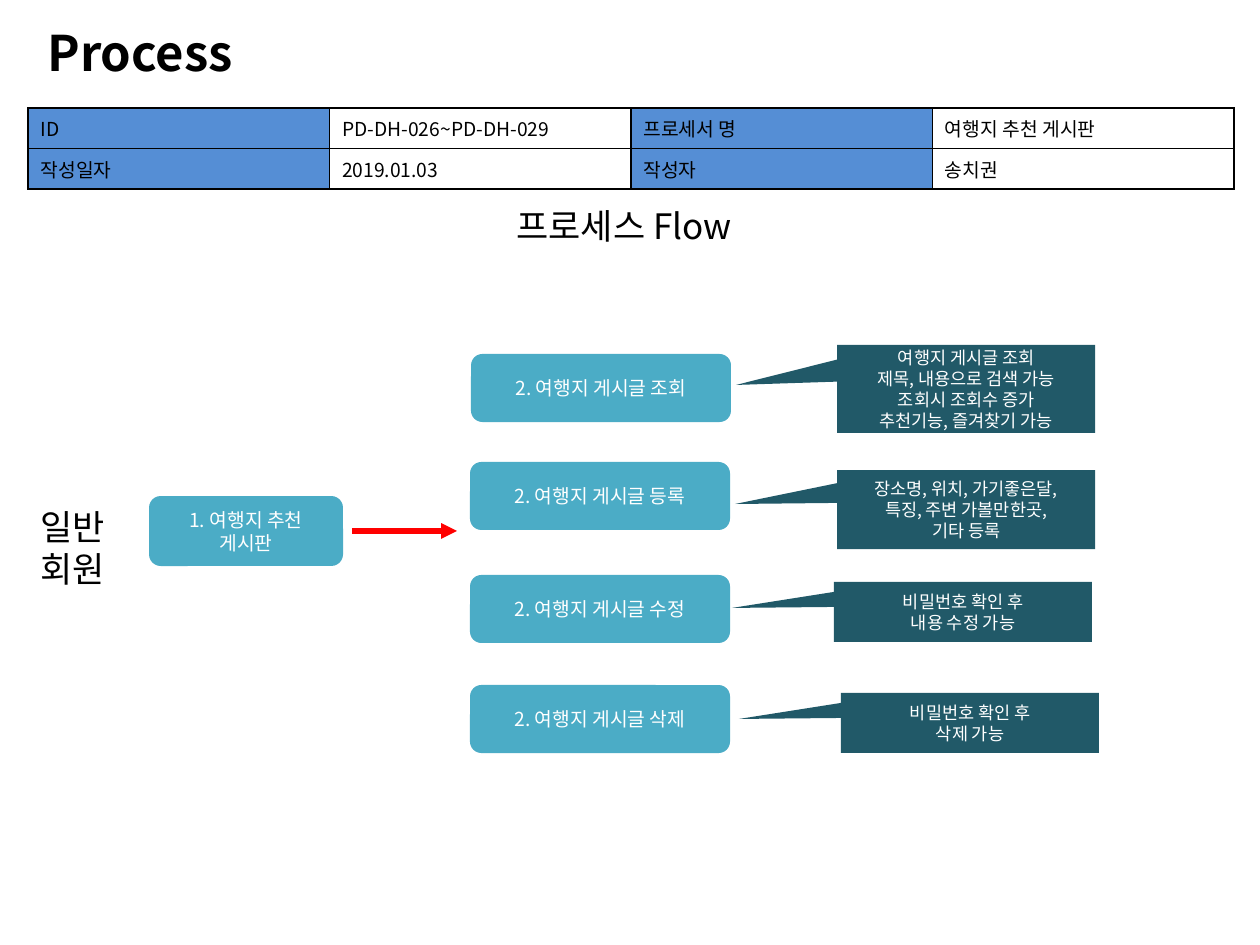
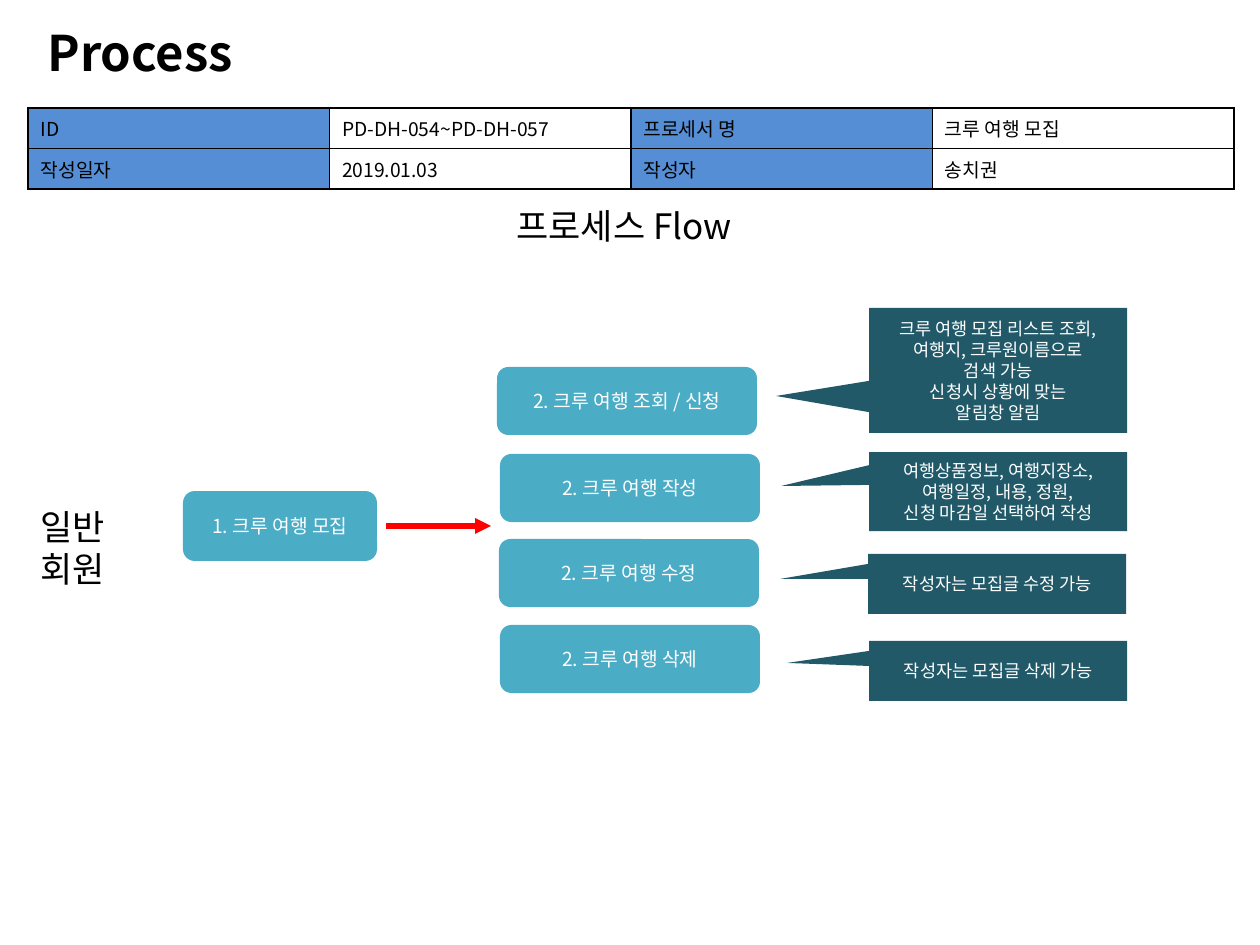
from dataclasses import dataclass

from lxml import etree
from pptx import Presentation
from pptx import util as u
from pptx.dml.color import RGBColor
from pptx.enum import shapes, text
from pptx.oxml.ns import qn


@dataclass(frozen=True)
class Theme:
    font: str = "Noto Sans CJK KR"
    ink: str = "000000"
    paper: str = "FFFFFF"
    header: str = "558ED5"
    step: str = "4BACC6"
    note: str = "215968"
    arrow: str = "FF0000"
    title_size: int = 28
    heading_size: int = 20
    body_size: int = 11
    note_size: int = 10
    line_height: float = 1.2


THEME = Theme()

TITLE = "Process"
HEADING = "프로세스 Flow"
ACTOR = ["일반", "회원"]
DATE, AUTHOR = "2019.01.03", "송치권"

# Each step: label, (left, top); each note: lines, (left, top, height), pointer (x, y)
PROCESSES = [
    {
        "id": "PD-DH-026~PD-DH-029",
        "name": "여행지 추천 게시판",
        "entry": (["1. 여행지 추천", "게시판"], (149, 496)),
        "steps": [
            ("2. 여행지 게시글 조회", (471, 354)),
            ("2. 여행지 게시글 등록", (470, 462)),
            ("2. 여행지 게시글 수정", (470, 575)),
            ("2. 여행지 게시글 삭제", (470, 685)),
        ],
        "notes": [
            (["여행지 게시글 조회", "제목, 내용으로 검색 가능",
              "조회시 조회수 증가", "추천기능, 즐겨찾기 가능"],
             (837, 345, 88), (736, 385)),
            (["장소명, 위치, 가기좋은달,", "특징, 주변 가볼만한곳,", "기타 등록"],
             (837, 470, 79), (735, 504)),
            (["비밀번호 확인 후", "내용 수정 가능"], (834, 582, 60), (732, 608)),
            (["비밀번호 확인 후", "삭제 가능"], (841, 693, 60), (739, 719)),
        ],
    },
    {
        "id": "PD-DH-054~PD-DH-057",
        "name": "크루 여행 모집",
        "entry": (["1. 크루 여행 모집"], (183, 491)),
        "steps": [
            ("2. 크루 여행 조회 / 신청", (497, 367)),
            ("2. 크루 여행 작성", (500, 454)),
            ("2. 크루 여행 수정", (499, 539)),
            ("2. 크루 여행 삭제", (500, 625)),
        ],
        "notes": [
            (["크루 여행 모집 리스트 조회,", "여행지, 크루원이름으로", "검색 가능",
              "신청시 상황에 맞는", "알림창 알림"],
             (869, 308, 125), (776, 396)),
            (["여행상품정보, 여행지장소,", "여행일정, 내용, 정원,", "신청 마감일 선택하여 작성"],
             (869, 452, 79), (781, 486)),
            (["작성자는 모집글 수정 가능"], (868, 554, 60), (780, 579)),
            (["작성자는 모집글 삭제 가능"], (869, 641, 60), (787, 663)),
        ],
    },
]

SLIDE_SIZE = (1260, 945)
TITLE_BOX = (35, 16, 1131, 72)
TABLE_BOX = (28, 108, 1206, 72)
HEADING_BOX = (504, 198, 253, 55)
ACTOR_BOX = (28, 499, 96, 97)
ENTRY_SIZE = (194, 70)
STEP_SIZE = (260, 68)
NOTE_WIDTH = 258
ARROW_GAP, ARROW_LENGTH = 9, 105


def px(*lengths):
    return [u.Emu(round(length * 914400 / 126)) for length in lengths]


def rgb(colour):
    return RGBColor.from_string(colour)


def write(frame, lines, size, colour, align=text.PP_ALIGN.LEFT, bold=False, spaced=True):
    frame.text = "\n".join(lines)
    for paragraph in frame.paragraphs:
        paragraph.alignment = align
        if spaced:
            paragraph.line_spacing = u.Pt(size * THEME.line_height)
        font = paragraph.font
        font.size, font.bold, font.name = u.Pt(size), bold, THEME.font
        font.color.rgb = rgb(colour)
        defaults = paragraph._p.pPr.find(qn("a:defRPr"))
        etree.SubElement(defaults, qn("a:ea"), typeface=THEME.font)


def add_label(slide, box, lines, wrap=True):
    frame = slide.shapes.add_textbox(*px(*box)).text_frame
    write(frame, lines, THEME.heading_size, THEME.ink)
    frame.word_wrap = wrap


def add_block(slide, kind, box, lines, size, fill):
    block = slide.shapes.add_shape(kind, *px(*box))
    block.shadow.inherit = False
    block.fill.solid()
    block.fill.fore_color.rgb = rgb(fill)
    block.line.fill.background()
    block.text_frame.vertical_anchor = text.MSO_ANCHOR.MIDDLE
    write(block.text_frame, lines, size, THEME.paper, text.PP_ALIGN.CENTER)
    return block


def add_step(slide, box, lines):
    add_block(slide, shapes.MSO_SHAPE.ROUNDED_RECTANGLE, box, lines,
              THEME.body_size, THEME.step)


def add_note(slide, lines, place, pointer):
    left, top, height = place
    note = add_block(slide, shapes.MSO_SHAPE.RECTANGULAR_CALLOUT,
                     (left, top, NOTE_WIDTH, height), lines,
                     THEME.note_size, THEME.note)
    note.adjustments[0] = (pointer[0] - left) / NOTE_WIDTH - 0.5
    note.adjustments[1] = (pointer[1] - top) / height - 0.5


def add_arrow(slide, left, middle):
    arrow = slide.shapes.add_connector(
        shapes.MSO_CONNECTOR.STRAIGHT, *px(left, middle, left + ARROW_LENGTH, middle))
    arrow.line.color.rgb = rgb(THEME.arrow)
    arrow.line.width = u.Pt(3)
    etree.SubElement(arrow.line._get_or_add_ln(), qn("a:tailEnd"), type="triangle")
    etree.SubElement(arrow._element.spPr, qn("a:effectLst"))


def outline(cell):
    """Put black borders in front of the cell's fill, as the schema orders them."""
    properties = cell._tc.get_or_add_tcPr()
    for position, side in enumerate(("lnL", "lnR", "lnT", "lnB")):
        border = etree.Element(qn(f"a:{side}"), w=str(u.Pt(1)))
        fill = etree.SubElement(border, qn("a:solidFill"))
        etree.SubElement(fill, qn("a:srgbClr"), val=THEME.ink)
        properties.insert(position, border)


def add_summary(slide, process):
    rows = [
        ("ID", process["id"], "프로세서 명", process["name"]),
        ("작성일자", DATE, "작성자", AUTHOR),
    ]
    table = slide.shapes.add_table(len(rows), len(rows[0]), *px(*TABLE_BOX)).table
    for r, row in enumerate(rows):
        for c, value in enumerate(row):
            cell = table.cell(r, c)
            cell.fill.solid()
            cell.fill.fore_color.rgb = rgb(THEME.paper if c % 2 else THEME.header)
            write(cell.text_frame, [value], THEME.body_size, THEME.ink, spaced=False)
            outline(cell)


def add_title(slide):
    title = slide.shapes.title
    title.left, title.top, title.width, title.height = px(*TITLE_BOX)
    frame = title.text_frame
    frame.auto_size = text.MSO_AUTO_SIZE.NONE
    frame.vertical_anchor = text.MSO_ANCHOR.TOP
    write(frame, [TITLE], THEME.title_size, THEME.ink, bold=True)


def add_process(deck, process):
    slide = deck.slides.add_slide(deck.slide_layouts[5])
    add_title(slide)
    add_summary(slide, process)
    add_label(slide, HEADING_BOX, [HEADING], wrap=False)
    add_label(slide, ACTOR_BOX, ACTOR)

    lines, (left, top) = process["entry"]
    width, height = ENTRY_SIZE
    add_step(slide, (left, top, width, height), lines)
    add_arrow(slide, left + width + ARROW_GAP, top + height // 2)
    for label, place in process["steps"]:
        add_step(slide, (*place, *STEP_SIZE), [label])
    for note in process["notes"]:
        add_note(slide, *note)


def main():
    deck = Presentation()
    deck.slide_width, deck.slide_height = px(*SLIDE_SIZE)
    for process in PROCESSES:
        add_process(deck, process)
    deck.save("out.pptx")


if __name__ == "__main__":
    main()
